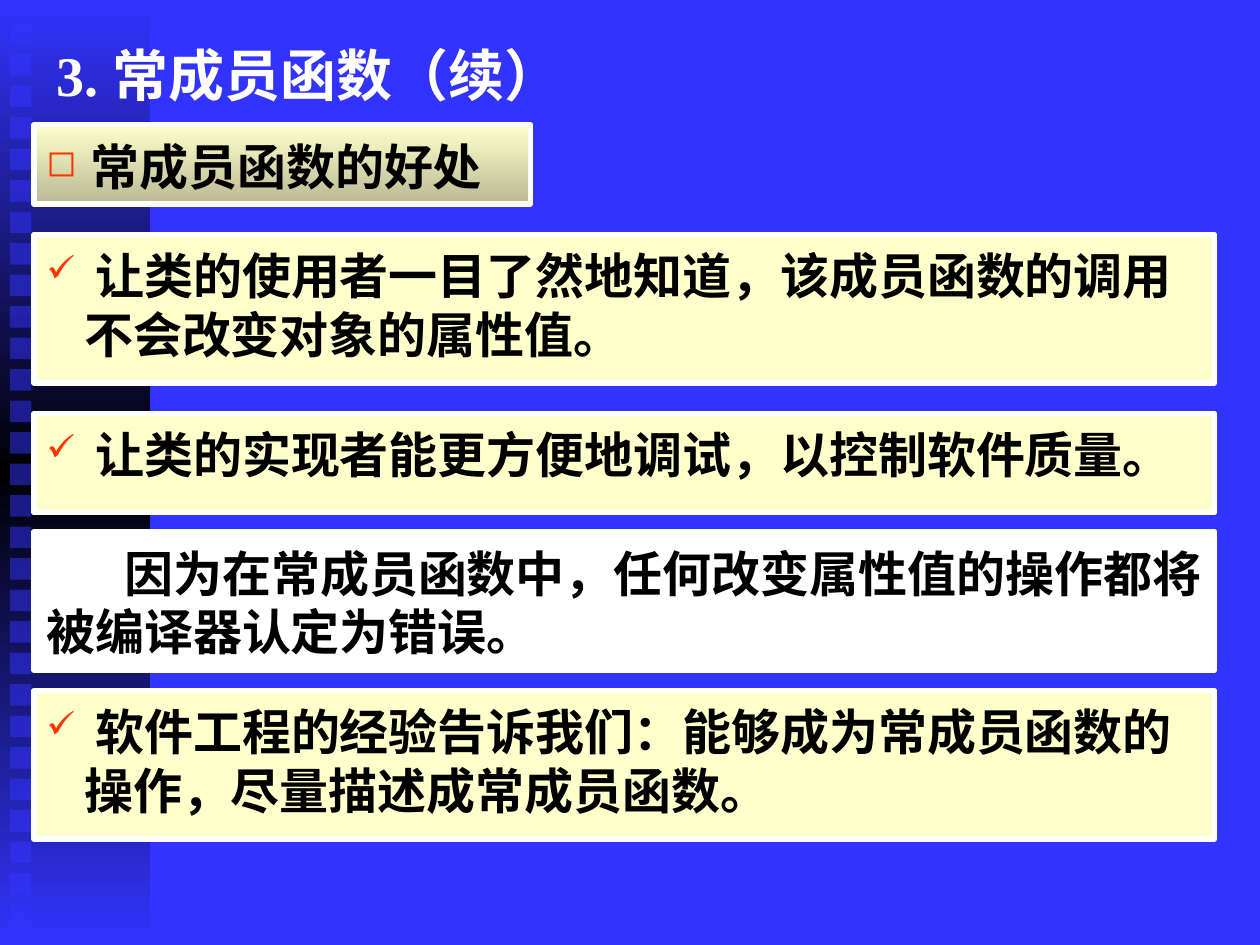
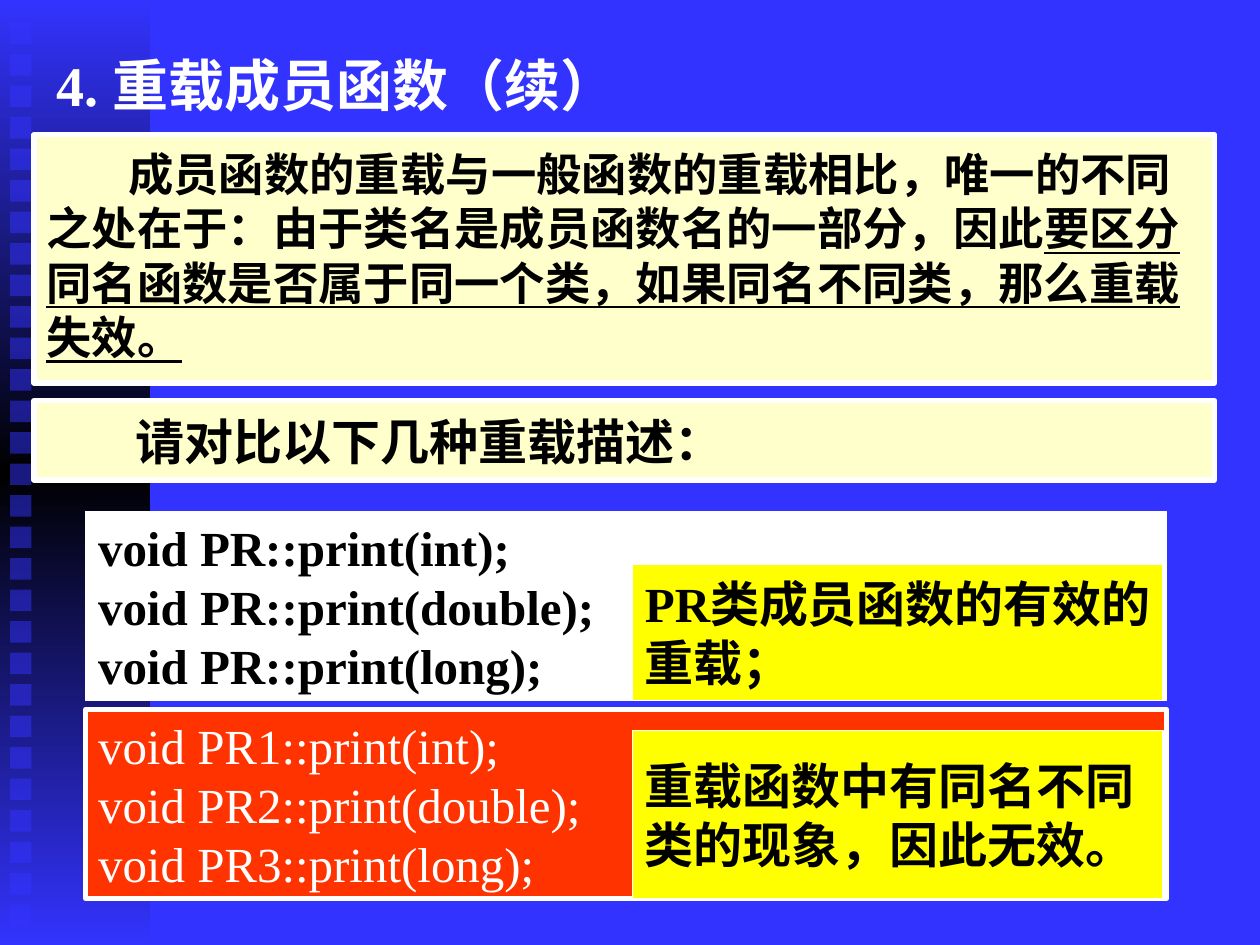
import dataclasses

import lxml.etree
import pptx
import pptx.dml.color
import pptx.enum.shapes
import pptx.enum.text
import pptx.oxml.ns
import pptx.util

EMU_PER_PX = 9144
ANCHOR = pptx.enum.text.MSO_ANCHOR


@dataclasses.dataclass(frozen=True)
class Theme:
    """Colours, font and type sizes shared by the slides."""
    blue: str = "3333FF"
    black: str = "000000"
    white: str = "FFFFFF"
    cream: str = "FFFFCC"
    khaki: str = "BABA95"
    yellow: str = "FFFF00"
    red: str = "FF3300"
    font: str = "Times New Roman"
    title_size: float = 32
    body_size: float = 28
    dense_size: float = 25.9
    thick: float = 3
    thin: float = 0.75


THEME = Theme()


def px(length):
    """Turn a length in px into EMU."""
    return pptx.util.Emu(length * EMU_PER_PX)


def rgb(colour):
    """Return the colour object for a hex string."""
    return pptx.dml.color.RGBColor.from_string(colour)


def add_element(parent, tag, **attributes):
    """Append a drawing element and return it."""
    element = lxml.etree.SubElement(parent, pptx.oxml.ns.qn(tag))
    for name, value in attributes.items():
        element.set(name, str(value))
    return element


def fill_gradient(box, colours):
    """Fill a box from top to bottom with evenly spaced colours."""
    box.fill.gradient()
    box.fill.gradient_angle = 270
    stops = box.fill._fill._gradFill.find(pptx.oxml.ns.qn("a:gsLst"))
    for stop in list(stops):
        stops.remove(stop)
    for index, colour in enumerate(colours):
        position = index * 100000 // (len(colours) - 1)
        stop = add_element(stops, "a:gs", pos=position)
        add_element(stop, "a:srgbClr", val=colour)


def add_box(page, frame, colours, line=None):
    """Add a rectangle with one fill colour or a gradient."""
    box = page.shapes.add_shape(
        pptx.enum.shapes.MSO_SHAPE.RECTANGLE, *map(px, frame))
    box.shadow.inherit = False
    if len(colours) > 1:
        fill_gradient(box, colours)
    else:
        box.fill.solid()
        box.fill.fore_color.rgb = rgb(colours[0])
    if line:
        box.line.color.rgb = rgb(THEME.white)
        box.line.width = pptx.util.Pt(line)
    else:
        box.line.fill.background()
    return box


def set_frame(box, anchor, top=5, wrap=True):
    """Set the insets, anchor and wrapping of a box and return its text frame."""
    frame = box.text_frame
    frame.margin_left = frame.margin_right = px(10)
    frame.margin_top, frame.margin_bottom = px(top), px(5)
    frame.vertical_anchor = anchor
    frame.word_wrap = wrap
    return frame


def set_indent(para, margin, indent, bullet=None):
    """Indent a paragraph and give it a bullet if one is named."""
    properties = para._p.get_or_add_pPr()
    properties.set("marL", str(px(margin)))
    properties.set("indent", str(px(indent)))
    if bullet:
        colour = add_element(properties, "a:buClr")
        add_element(colour, "a:srgbClr", val=THEME.red)
        add_element(properties, "a:buSzPct", val=75000)
        add_element(properties, "a:buChar", char=bullet)


def write(para, text, size=THEME.body_size, colour=THEME.black, bold=True,
          underline=False):
    """Add a formatted span to a left-aligned paragraph."""
    para.alignment = pptx.enum.text.PP_ALIGN.LEFT
    span = para.add_run()
    span.text = text
    span.font.name = THEME.font
    span.font.size = pptx.util.Pt(size)
    span.font.bold = bold
    span.font.color.rgb = rgb(colour)
    if underline:
        span.font.underline = True


def add_sidebar(page, frame):
    """Draw the gradient band with its column of translucent squares."""
    left, top, _, _ = frame
    add_box(page, frame, [THEME.blue, THEME.black, THEME.blue])
    for row in range(29):
        square = add_box(
            page, (left + 8, top + 18 + 25 * row, 17, 17), [THEME.blue])
        colour = square.fill._xPr.find(".//" + pptx.oxml.ns.qn("a:srgbClr"))
        add_element(colour, "a:alpha", val=50000)


def add_title(page, frame, text):
    """Write the slide title."""
    box = page.shapes.add_textbox(*map(px, frame))
    para = set_frame(box, ANCHOR.MIDDLE).paragraphs[0]
    write(para, text, size=THEME.title_size, colour=THEME.white)


def add_panel(page, frame, spans, colours=(THEME.cream,), margin=0, indent=0,
              bullet=None, size=THEME.body_size):
    """Add a bordered panel holding one paragraph of (text, underline) spans."""
    box = add_box(page, frame, colours, THEME.thick)
    para = set_frame(box, ANCHOR.TOP, top=9).paragraphs[0]
    set_indent(para, margin, indent, bullet)
    for text, underline in spans:
        write(para, text, size=size, underline=underline)


def add_lines(page, frame, lines, fill, line=THEME.thin, **style):
    """Add a box with one unwrapped paragraph for each line."""
    box = add_box(page, frame, [fill], line)
    text_frame = set_frame(box, ANCHOR.MIDDLE, wrap=False)
    for index, text in enumerate(lines):
        para = text_frame.add_paragraph() if index else text_frame.paragraphs[0]
        write(para, text, **style)


def add_comparison(page, frame, code, note, note_top, fill, **style):
    """Add a code box with a yellow note at its lower right."""
    left, top, width, height = frame
    add_lines(page, frame, code, fill, **style)
    note_frame = (left + 434, top + note_top, width - 437, height - note_top)
    add_lines(page, note_frame, note, THEME.yellow)


def add_page(deck, title, title_top):
    """Add a slide with background, sidebar and title."""
    page = deck.slides.add_slide(deck.slide_layouts[6])
    page.background.fill.solid()
    page.background.fill.fore_color.rgb = rgb(THEME.blue)
    add_sidebar(page, (0, 0, 119, 750))
    add_title(page, (35, title_top, 921, 91), title)
    return page


def build_const_members(deck):
    """Build the slide on the benefits of const member functions."""
    page = add_page(deck, "3. 常成员函数（续）", 13)
    add_panel(page, (27, 99, 394, 63), [("常成员函数的好处", False)],
              colours=(THEME.cream, THEME.khaki), margin=35, indent=-35,
              bullet="◻")
    benefits = [
        (186, 118, " 让类的使用者一目了然地知道，该成员函数的调用不会改变对象的属性值。"),
        (328, 79, " 让类的实现者能更方便地调试，以控制软件质量。"),
        (548, 118, " 软件工程的经验告诉我们：能够成为常成员函数的操作，尽量描述成常成员函数。"),
    ]
    for top, height, text in benefits:
        add_panel(page, (27, top, 937, height), [(text, False)],
                  margin=30, indent=-30, bullet="✓")
    reason = "因为在常成员函数中，任何改变属性值的操作都将被编译器认定为错误。"
    add_panel(page, (27, 422, 937, 110), [(reason, False)],
              colours=(THEME.white,), indent=62)


def build_overloading(deck):
    """Build the slide on overloading member functions."""
    page = add_page(deck, "4. 重载成员函数（续）", 21)
    rule = [
        ("成员函数的重载与一般函数的重载相比，唯一的不同之处在于："
         "由于类名是成员函数名的一部分，因此", False),
        ("要区分同名函数是否属于同一个类，如果同名不同类，那么重载失效。", True),
    ]
    add_panel(page, (27, 107, 937, 197), rule, indent=65,
              size=THEME.dense_size)
    add_panel(page, (27, 318, 937, 63), [("请对比以下几种重载描述：", False)],
              indent=71)
    add_comparison(
        page, (68, 406, 858, 150),
        ["void PR::print(int);", "void PR::print(double);",
         "void PR::print(long);"],
        ["PR类成员函数的有效的", "重载；"], 42, THEME.white)
    add_comparison(
        page, (68, 563, 858, 150),
        ["void PR1::print(int);", "void PR2::print(double);",
         "void PR3::print(long);"],
        ["重载函数中有同名不同", "类的现象，因此无效。"], 17, THEME.red,
        line=THEME.thick, colour=THEME.white, bold=False)


def main():
    """Build and save the deck."""
    deck = pptx.Presentation()
    deck.slide_width, deck.slide_height = px(1000), px(750)
    build_const_members(deck)
    build_overloading(deck)
    deck.save("out.pptx")


if __name__ == "__main__":
    main()
